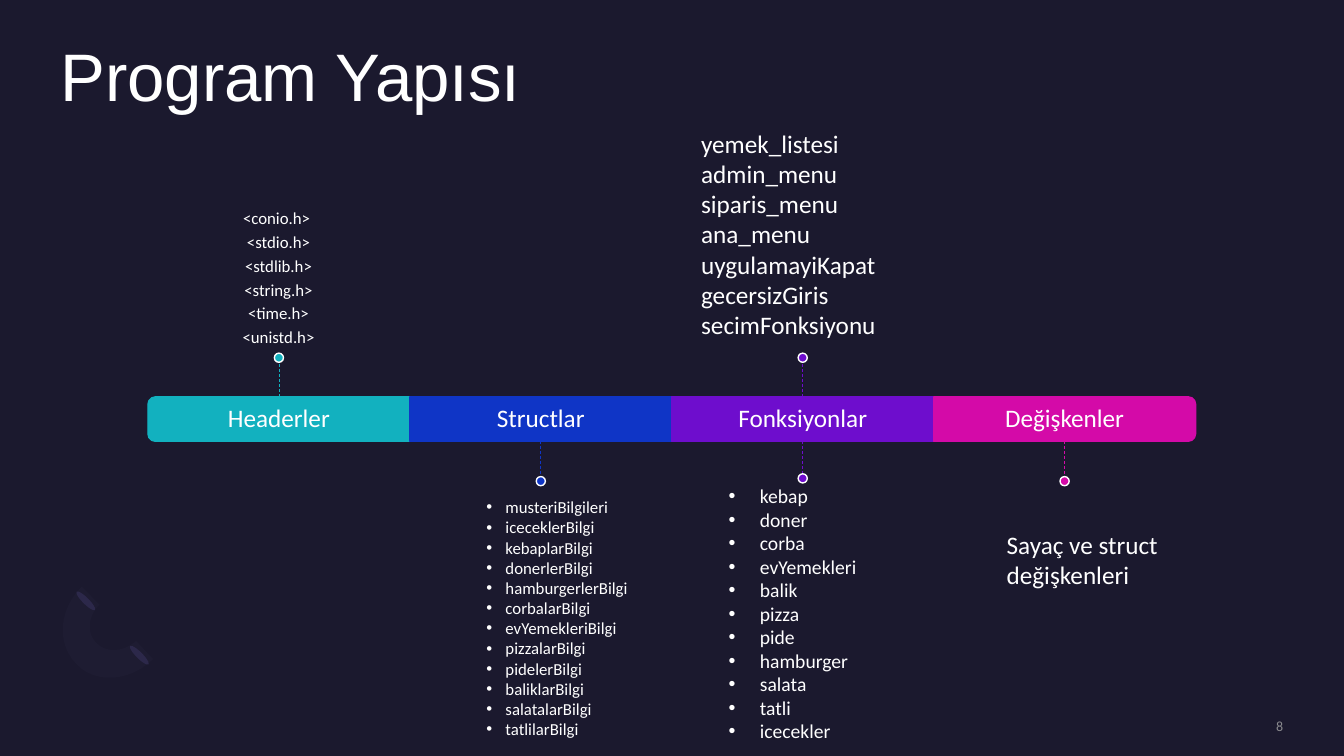
from lxml import etree
from pptx import Presentation
from pptx.dml.color import RGBColor
from pptx.enum.dml import MSO_LINE
from pptx.enum.shapes import MSO_CONNECTOR, MSO_SHAPE
from pptx.enum.text import MSO_ANCHOR, MSO_AUTO_SIZE, PP_ALIGN
from pptx.oxml.ns import qn
from pptx.util import Cm, Pt

OVAL = MSO_SHAPE.OVAL
RECT = MSO_SHAPE.RECTANGLE
ROUND_END = MSO_SHAPE.ROUND_2_SAME_RECTANGLE
STRAIGHT = MSO_CONNECTOR.STRAIGHT
DASH = MSO_LINE.DASH
LEFT, CENTER, RIGHT = PP_ALIGN.LEFT, PP_ALIGN.CENTER, PP_ALIGN.RIGHT
TOP, MIDDLE = MSO_ANCHOR.TOP, MSO_ANCHOR.MIDDLE
GROW = MSO_AUTO_SIZE.SHAPE_TO_FIT_TEXT

COLORS = {
    "background": "1B192E", "text": "FFFFFF", "number": "8A8A8E",
    "petal": "2C284A", "arc": "1E1C32",
    "teal": "12B1BF", "blue": "0F35C6", "purple": "6E0DCD", "pink": "D40AA8",
}

# Timeline bar, in cm
BAR_LEFT, BAR_TOP, BAR_H, SEG_W = 3.73, 10.0, 1.12, 6.6
DOT = 0.23

# Label, colour, shape, rotation
SEGMENTS = [
    ("Headerler", "teal", ROUND_END, 270),
    ("Structlar", "blue", RECT, 0),
    ("Fonksiyonlar", "purple", RECT, 0),
    ("Değişkenler", "pink", ROUND_END, 90),
]
# Segment index, stem length (negative goes up)
STEMS = [(0, -0.87), (1, 0.89), (2, -0.87), (2, 0.82), (3, 0.89)]

HEADERS = ["<conio.h> ", "<stdio.h>", "<stdlib.h>", "<string.h>", "<time.h>",
           "<unistd.h>"]
STRUCTS = ["musteriBilgileri", "iceceklerBilgi", "kebaplarBilgi",
           "donerlerBilgi", "hamburgerlerBilgi", "corbalarBilgi",
           "evYemekleriBilgi", "pizzalarBilgi", "pidelerBilgi",
           "baliklarBilgi", "salatalarBilgi", "tatlilarBilgi"]
MENUS = ["yemek_listesi", "admin_menu", "siparis_menu", "ana_menu",
         "uygulamayiKapat", "gecersizGiris", "secimFonksiyonu"]
FOODS = ["kebap", "doner", "corba", "evYemekleri", "balik", "pizza", "pide",
         "hamburger", "salata", "tatli", "icecekler"]
VARIABLES = ["Sayaç ve struct değişkenleri"]

# Bezier segments of the corner arc, in cm: start, two controls, end
ARC_OUTER = [((3.86, 16.61), (3.3, 17.17), (2.41, 17.25), (1.93, 16.74)),
             ((1.93, 16.74), (1.42, 16.23), (1.47, 15.37), (2.06, 14.78))]
ARC_INNER = [((2.51, 15.24), (2.21, 15.52), (2.18, 15.98), (2.44, 16.21)),
             ((2.44, 16.21), (2.69, 16.46), (3.12, 16.43), (3.43, 16.15))]


def rgb(name):
    return RGBColor.from_string(COLORS[name])


def add_run(p, text, size, color="text", font="Calibri"):
    r = p.add_run()
    r.text = text
    r.font.size = Pt(size)
    r.font.name = font
    r.font.color.rgb = rgb(color)


def add_bullet(p, indent):
    pPr = p._p.get_or_add_pPr()
    pPr.set("marL", str(Cm(indent)))
    pPr.set("indent", str(-Cm(indent)))
    etree.SubElement(pPr, qn("a:buFont")).set("typeface", "Arial")
    etree.SubElement(pPr, qn("a:buChar")).set("char", "•")


def add_text(slide, box, lines, size, color="text", align=LEFT, anchor=TOP,
             insets=None, grow=False, indent=0, spacing=None, after=None):
    tf = slide.shapes.add_textbox(*map(Cm, box)).text_frame
    tf.word_wrap = True
    tf.vertical_anchor = anchor
    if grow:
        tf.auto_size = GROW
    if insets:
        (tf.margin_left, tf.margin_top,
         tf.margin_right, tf.margin_bottom) = map(Cm, insets)
    for i, line in enumerate(lines):
        p = tf.add_paragraph() if i else tf.paragraphs[0]
        p.alignment = align
        if spacing:
            p.line_spacing = spacing
        if after:
            p.space_after = Pt(after)
        if indent:
            add_bullet(p, indent)
        add_run(p, line, size, color)


def paint(sp, fill, line=None):
    sp.shadow.inherit = False
    sp.fill.solid()
    sp.fill.fore_color.rgb = rgb(fill)
    if line:
        sp.line.color.rgb = rgb(line)
        sp.line.width = Pt(1)
    else:
        sp.line.fill.background()


def add_centered(slide, kind, cx, cy, w, h, fill, line=None, rotation=0):
    sp = slide.shapes.add_shape(kind, Cm(cx - w / 2), Cm(cy - h / 2),
                                Cm(w), Cm(h))
    sp.rotation = rotation
    paint(sp, fill, line)


def add_segment(slide, i, label, color, kind, rotation):
    left = BAR_LEFT + i * SEG_W
    w, h = (BAR_H, SEG_W) if rotation else (SEG_W, BAR_H)
    add_centered(slide, kind, left + SEG_W / 2, BAR_TOP + BAR_H / 2, w, h,
                 color, color, rotation)
    add_text(slide, (left, BAR_TOP, SEG_W, BAR_H), [label], 18, align=CENTER,
             anchor=MIDDLE, insets=(0.38,) * 4, spacing=0.9)


def add_stem(slide, i, length):
    color = SEGMENTS[i][1]
    x = BAR_LEFT + (i + 0.5) * SEG_W
    start = BAR_TOP if length < 0 else BAR_TOP + BAR_H
    end = start + length
    line = slide.shapes.add_connector(STRAIGHT, Cm(x), Cm(start),
                                      Cm(x), Cm(end))
    line.line.color.rgb = rgb(color)
    line.line.width = Pt(0.5)
    line.line.dash_style = DASH
    etree.SubElement(line._element.spPr, qn("a:effectLst"))
    offset = DOT / 2 if length > 0 else -DOT / 2
    add_centered(slide, OVAL, x, end + offset, DOT, DOT, color, "text")


def curve_points(curves, steps=12):
    points = []
    for a, b, c, d in curves:
        for t in (n / steps for n in range(steps + 1)):
            u = 1 - t
            points.append(tuple(
                Cm(u**3 * a[k] + 3 * u * u * t * b[k]
                   + 3 * u * t * t * c[k] + t**3 * d[k]) for k in (0, 1)))
    return points


def add_corner(slide):
    points = curve_points(ARC_OUTER) + curve_points(ARC_INNER)
    builder = slide.shapes.build_freeform(*points[0])
    builder.add_line_segments(points[1:])
    paint(builder.convert_to_shape(), "arc")
    for cx, cy in ((3.51, 16.51), (2.16, 15.14)):
        add_centered(slide, OVAL, cx, cy, 0.16, 0.66, "petal", rotation=135)


def add_title(slide, text):
    sp = slide.shapes.title
    sp.left, sp.top, sp.width, sp.height = map(Cm, (1.52, 1.09, 30.81, 3.71))
    tf = sp.text_frame
    tf.margin_left = tf.margin_top = tf.margin_right = tf.margin_bottom = 0
    tf.vertical_anchor = TOP
    p = tf.paragraphs[0]
    p.alignment = LEFT
    p.line_spacing = 0.9
    add_run(p, text, 48, font="Arial")


def main():
    prs = Presentation()
    prs.slide_width, prs.slide_height = Cm(33.87), Cm(19.05)
    slide = prs.slides.add_slide(prs.slide_layouts[5])
    slide.background.fill.solid()
    slide.background.fill.fore_color.rgb = rgb("background")

    add_corner(slide)
    add_title(slide, "Program Yapısı")

    # Timeline
    for i, segment in enumerate(SEGMENTS):
        add_segment(slide, i, *segment)
    for i, length in STEMS:
        add_stem(slide, i, length)

    # Lists above and below the bar
    add_text(slide, (1.52, 5.05, 11.0, 3.86), HEADERS, 12, align=CENTER,
             insets=(0, 0.25, 0, 0), spacing=0.9, after=4)
    add_text(slide, (12.01, 12.4, 4.5, 6.4), STRUCTS, 12, grow=True,
             indent=0.48)
    add_text(slide, (17.42, 3.1, 5.66, 5.64), MENUS, 18, grow=True)
    add_text(slide, (18.11, 12.07, 4.24, 6.83), FOODS, 14, grow=True,
             indent=0.79)
    add_text(slide, (25.12, 13.21, 4.7, 1.8), VARIABLES, 18, grow=True)

    # Slide number
    add_text(slide, (27.64, 18.08, 4.7, 0.43), ["8"], 10, "number", RIGHT,
             MIDDLE, (0,) * 4)
    prs.save("out.pptx")


if __name__ == "__main__":
    main()
